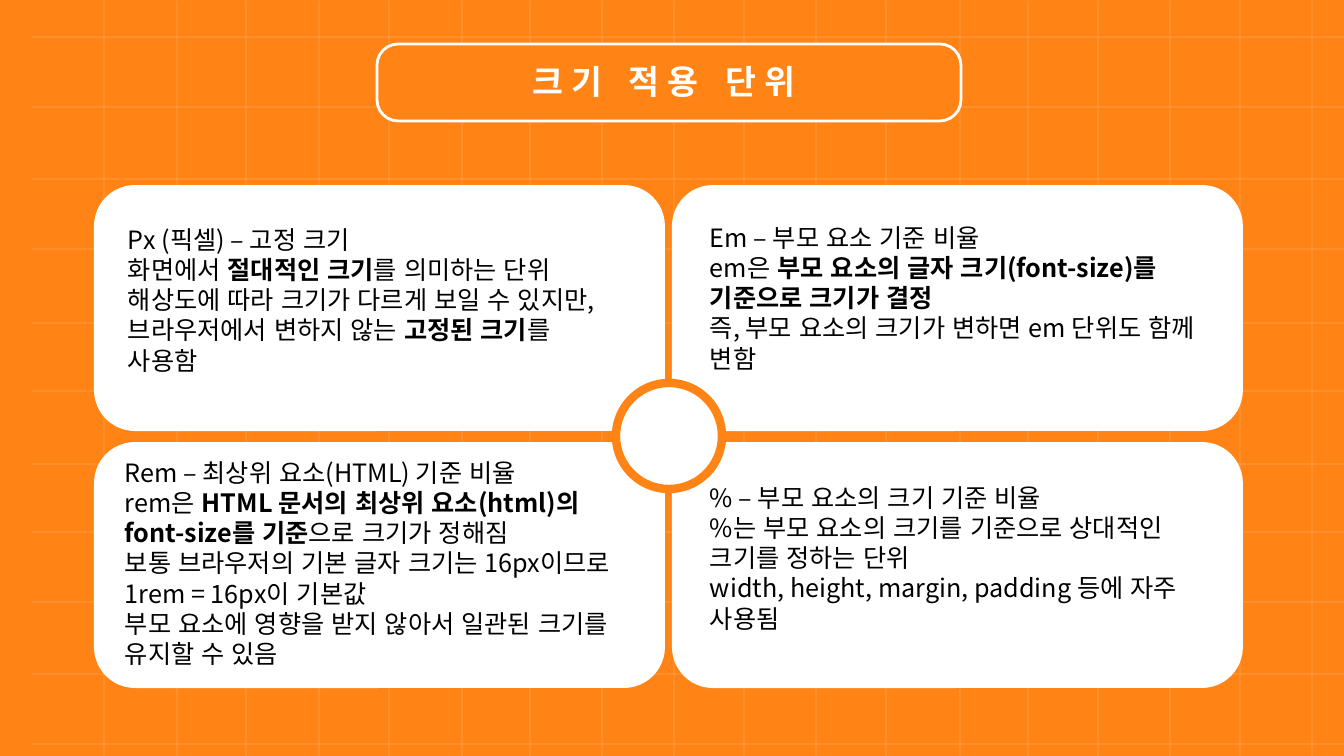
import pptx
import pptx.util
import pptx.dml.color
import pptx.enum.dml
import pptx.enum.lang
import pptx.enum.shapes
import pptx.enum.text
import pptx.oxml.ns
from lxml import etree

ORANGE = pptx.dml.color.RGBColor(0xFF, 0x84, 0x15)
WHITE = pptx.dml.color.RGBColor(0xFF, 0xFF, 0xFF)
BLACK = pptx.dml.color.RGBColor(0x00, 0x00, 0x00)
SHAPES = pptx.enum.shapes.MSO_SHAPE
WIDTH, HEIGHT = 1344, 756
qn = pptx.oxml.ns.qn


def px(length):
    return pptx.util.Emu(round(length * 914400 / 100.8))


class SlideBuilder:
    font_name = "Noto Sans CJK KR"
    body_size = 18

    def __init__(self, page):
        self.page = page
        page.background.fill.solid()
        page.background.fill.fore_color.rgb = ORANGE

    def grid_line(self, x1, y1, x2, y2):
        line = self.page.shapes.add_connector(
            pptx.enum.shapes.MSO_CONNECTOR.STRAIGHT, px(x1), px(y1), px(x2), px(y2))
        line.line.width = pptx.util.Pt(1)
        line.line.color.rgb = WHITE
        color = line.element.find(".//" + qn("a:srgbClr"))
        etree.SubElement(color, qn("a:alpha"), val="15000")
        etree.SubElement(line.element.spPr, qn("a:effectLst"))

    def shape(self, kind, place, fill, line=None, line_width=0):
        shape = self.page.shapes.add_shape(kind, *map(px, place))
        shape.shadow.inherit = False
        shape.fill.solid()
        shape.fill.fore_color.rgb = fill
        if line is None:
            shape.line.fill.background()
        else:
            shape.line.color.rgb = line
            shape.line.width = pptx.util.Pt(line_width)
        return shape

    def style(self, span, size, color, bold):
        span.font.size = pptx.util.Pt(size)
        span.font.bold = bold
        span.font.color.rgb = color
        span.font.name = self.font_name
        span.font.language_id = pptx.enum.lang.MSO_LANGUAGE_ID.KOREAN
        latin = span.font._element.find(qn("a:latin"))
        east_asian = etree.Element(qn("a:ea"), typeface=self.font_name)
        latin.addnext(east_asian)

    def title(self, text, place):
        title = self.page.shapes.title
        title.left, title.top, title.width, title.height = map(px, place)
        # Bring the title in front of its frame
        title.element.getparent().append(title.element)
        title.text_frame.text = text
        title.text_frame.auto_size = pptx.enum.text.MSO_AUTO_SIZE.SHAPE_TO_FIT_TEXT
        para = title.text_frame.paragraphs[0]
        para.alignment = pptx.enum.text.PP_ALIGN.CENTER
        para.line_spacing = 1.0
        para.space_before = pptx.util.Pt(0)
        span = para.runs[0]
        self.style(span, 24, WHITE, True)
        span.font._element.set("spc", "600")

    def text(self, place, paragraphs):
        """Text between ** marks is bold; a newline is a line break."""
        box = self.page.shapes.add_textbox(*map(px, place))
        frame = box.text_frame
        frame.word_wrap = True
        frame.auto_size = pptx.enum.text.MSO_AUTO_SIZE.SHAPE_TO_FIT_TEXT
        for index, text in enumerate(paragraphs):
            para = frame.add_paragraph() if index else frame.paragraphs[0]
            for part_index, part in enumerate(text.split("**")):
                for line_index, line in enumerate(part.split("\n")):
                    if line_index:
                        para.add_line_break()
                    if line:
                        span = para.add_run()
                        span.text = line
                        self.style(span, self.body_size, BLACK, part_index % 2 == 1)


GRID_ROWS = [37, 107, 179, 249, 323, 391, 464, 532, 602, 674, 744]
GRID_COLUMNS = [104, 177, 246, 319, 389, 462, 530, 602, 674,
                744, 816, 886, 960, 1028, 1098, 1170, 1240, 1312]

UNITS = [
    ((118, 219, 498, 194), [
        "Px (픽셀) – 고정 크기",
        "화면에서 **절대적인 크기**를 의미하는 단위\n"
        "해상도에 따라 크기가 다르게 보일 수 있지만, "
        "브라우저에서 변하지 않는 **고정된 크기**를 사용함"]),
    ((700, 217, 517, 194), [
        "Em – 부모 요소 기준 비율",
        "em은 **부모 요소의 글자 크기(font-size)를 기준으로 크기가 결정**",
        "즉, 부모 요소의 크기가 변하면 em 단위도 함께 변함"]),
    ((115, 452, 522, 254), [
        "Rem – 최상위 요소(HTML) 기준 비율",
        "rem은 **HTML 문서의 최상위 요소(html)의 font-size를 기준**으로 크기가 정해짐",
        "보통 브라우저의 기본 글자 크기는 16px이므로 1rem = 16px이 기본값",
        "부모 요소에 영향을 받지 않아서 일관된 크기를 유지할 수 있음"]),
    ((700, 477, 498, 194), [
        "% – 부모 요소의 크기 기준 비율",
        "%는 부모 요소의 크기를 기준으로 상대적인 크기를 정하는 단위",
        "width, height, margin, padding 등에 자주 사용됨"]),
]


def main():
    deck = pptx.Presentation()
    deck.slide_width, deck.slide_height = px(WIDTH), px(HEIGHT)
    builder = SlideBuilder(deck.slides.add_slide(deck.slide_layouts[5]))

    # Background grid
    for y in GRID_ROWS:
        builder.grid_line(32, y, WIDTH, y)
    for x in GRID_COLUMNS:
        builder.grid_line(x, 1, x, HEIGHT)

    # Title in its frame
    frame = builder.shape(SHAPES.ROUNDED_RECTANGLE, (377, 44, 584, 77), ORANGE, WHITE, 2)
    frame.adjustments[0] = 0.275
    builder.title("크기 적용 단위", (435, 56, 458, 51))

    # Four cards around a circle
    for top in (185, 442):
        for left in (94, 672):
            builder.shape(SHAPES.ROUNDED_RECTANGLE, (left, top, 571, 246), WHITE)
    builder.shape(SHAPES.OVAL, (616, 383, 106, 106), WHITE, ORANGE, 6)

    # Unit descriptions
    for place, paragraphs in UNITS:
        builder.text(place, paragraphs)

    deck.save("out.pptx")


if __name__ == "__main__":
    main()
